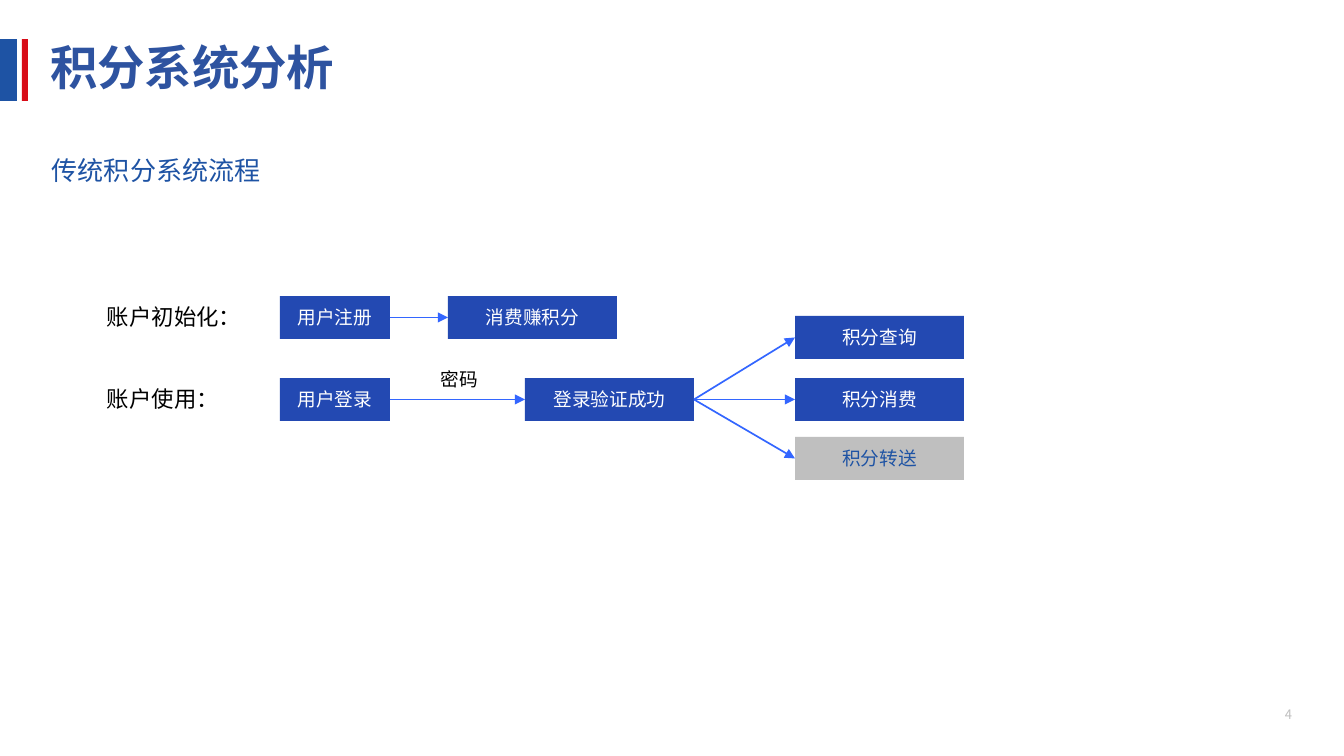
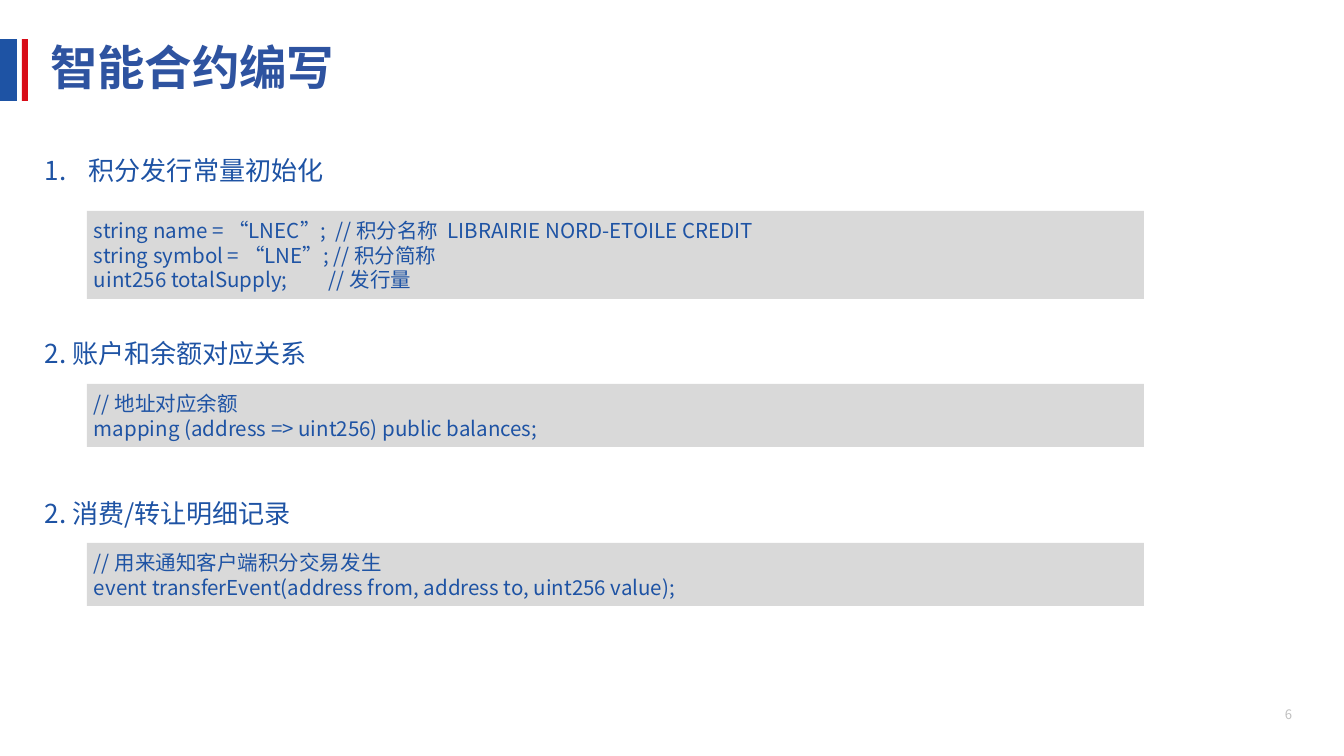
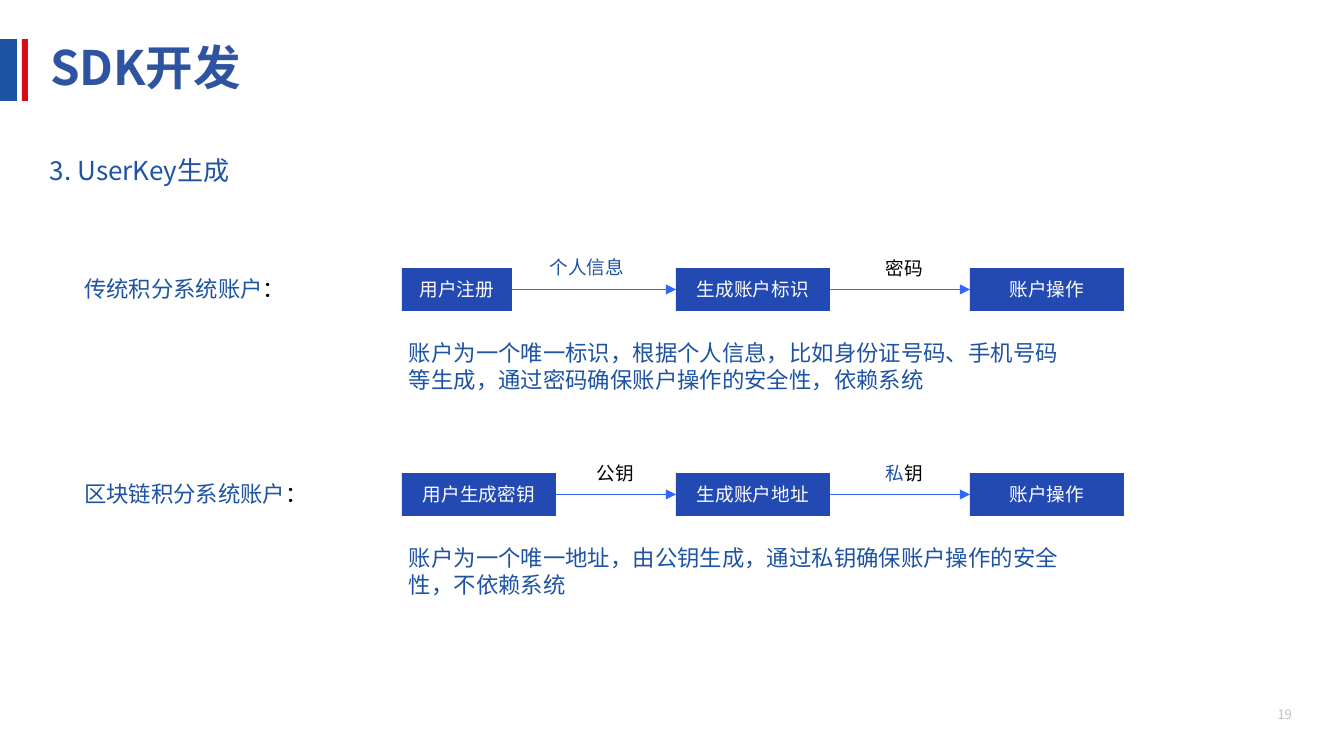
import pptx
import pptx.dml.color
import pptx.enum.shapes
import pptx.enum.text
import pptx.oxml.ns
import pptx.util
from lxml import etree

RGB = pptx.dml.color.RGBColor
ALIGN = pptx.enum.text.PP_ALIGN
ANCHOR = pptx.enum.text.MSO_ANCHOR
RECT = pptx.enum.shapes.MSO_SHAPE.RECTANGLE
STRAIGHT = pptx.enum.shapes.MSO_CONNECTOR.STRAIGHT
qn = pptx.oxml.ns.qn

FONT = "Noto Sans CJK SC"
BLUE = RGB(0x1E, 0x53, 0xA4)
TITLE_BLUE = RGB(0x2E, 0x53, 0xA0)
BOX_BLUE = RGB(0x23, 0x49, 0xB2)
ARROW_BLUE = RGB(0x33, 0x66, 0xFF)
RED = RGB(0xD8, 0x0C, 0x18)
GREY = RGB(0xBF, 0xBF, 0xBF)
CODE_GREY = RGB(0xD9, 0xD9, 0xD9)
BLACK = RGB(0, 0, 0)
WHITE = RGB(0xFF, 0xFF, 0xFF)

PX = 914400 / 122
BOX_H = 43
RIGHT, LEFT = 3, 1

# Text, left, top, width
FLOW_ROWS = [("账户初始化：", 296), ("账户使用：", 378)]
FLOW_BOXES = {
    "register": ("用户注册", 280, 296, 110),
    "earn": ("消费赚积分", 448, 296, 169),
    "login": ("用户登录", 280, 378, 110),
    "verified": ("登录验证成功", 525, 378, 169),
    "query": ("积分查询", 795, 316, 169),
    "spend": ("积分消费", 795, 378, 169),
    "transfer": ("积分转送", 795, 437, 169),
}
FLOW_ARROWS = [("register", "earn"), ("login", "verified"), ("verified", "spend"),
               ("verified", "query"), ("verified", "transfer")]

# Heading, its top, text indent, code top, code height, code
CONTRACT = [
    ("1.\t积分发行常量初始化", 132, 44, 211, 88,
     "string name = “LNEC”;  // 积分名称  LIBRAIRIE NORD-ETOILE CREDIT\n"
     "string symbol = “LNE”; // 积分简称\n"
     "uint256 totalSupply;\t// 发行量"),
    ("2. 账户和余额对应关系", 315, 0, 384, 63,
     "// 地址对应余额\nmapping (address => uint256) public balances;"),
    ("2. 消费/转让明细记录", 475, 0, 543, 63,
     "// 用来通知客户端积分交易发生\n"
     "event transferEvent(address from, address to, uint256 value);"),
]
COMMENT_TAB = 235

# Boxes: text, left, width. Labels: text, colour, left, width, rise above row
ACCOUNTS = [
    dict(name="传统积分系统账户", top=268,
         boxes=[("用户注册", 402, 110), ("生成账户标识", 676, 154), ("账户操作", 970, 154)],
         labels=[("个人信息", BLUE, 534, 106, 19), ("密码", BLACK, 865, 79, 18)],
         note="账户为一个唯一标识，根据个人信息，比如身份证号码、手机号码等生成，"
              "通过密码确保账户操作的安全性，依赖系统"),
    dict(name="区块链积分系统账户", top=473,
         boxes=[("用户生成密钥", 402, 154), ("生成账户地址", 676, 154), ("账户操作", 970, 154)],
         labels=[("公钥", BLACK, 576, 79, 18),
                 ([("私", BLUE), ("钥", BLACK)], BLACK, 865, 79, 18)],
         note="账户为一个唯一地址，由公钥生成，通过私钥确保账户操作的安全性，不依赖系统"),
]


def px(*values):
    return [pptx.util.Emu(round(v * PX)) for v in values]


def write(sp, text, size=11, color=BLUE, bold=False, align=ALIGN.LEFT, anchor=ANCHOR.TOP,
          spacing=None, inset=(7, 7), hang=0, tab=0):
    """Fill a shape with text: a string of lines, or one line as (text, colour) runs."""
    tf = sp.text_frame
    tf.word_wrap = True
    tf.auto_size = pptx.enum.text.MSO_AUTO_SIZE.NONE
    tf.vertical_anchor = anchor
    tf.margin_left, tf.margin_top = tf.margin_right, tf.margin_bottom = px(*inset)
    if isinstance(text, str):
        lines = [[(line, color)] for line in text.split("\n")]
    else:
        lines = [text]
    for i, runs in enumerate(lines):
        p = tf.add_paragraph() if i else tf.paragraphs[0]
        p.alignment = align
        if spacing:
            p.line_spacing = spacing
        pPr = p._p.get_or_add_pPr()
        if hang:
            pPr.set("marL", str(px(hang)[0]))
            pPr.set("indent", str(px(-hang)[0]))
        if tab:
            tabs = etree.SubElement(pPr, qn("a:tabLst"))
            etree.SubElement(tabs, qn("a:tab"), pos=str(px(tab)[0]), algn="l")
        for part, part_color in runs:
            r = p.add_run()
            r.text = part
            r.font.size = pptx.util.Pt(size)
            r.font.bold = bold
            r.font.name = FONT
            r.font.color.rgb = part_color
            etree.SubElement(r._r.get_or_add_rPr(), qn("a:ea"), typeface=FONT)


def add_text(s, text, x, y, w, h, **fmt):
    write(s.shapes.add_textbox(*px(x, y, w, h)), text, **fmt)


def add_rect(s, x, y, w, h, fill):
    sp = s.shapes.add_shape(RECT, *px(x, y, w, h))
    sp.shadow.inherit = False
    sp.fill.solid()
    sp.fill.fore_color.rgb = fill
    sp.line.fill.background()
    return sp


def add_box(s, text, x, y, w, fill=BOX_BLUE, color=WHITE):
    sp = add_rect(s, x, y, w, BOX_H, fill)
    write(sp, text, color=color, align=ALIGN.CENTER, anchor=ANCHOR.MIDDLE, inset=(12, 6))
    return sp


def add_arrow(s, start, end):
    c = s.shapes.add_connector(STRAIGHT, 0, 0, 0, 0)
    c.begin_connect(start, RIGHT)
    c.end_connect(end, LEFT)
    c.line.color.rgb = ARROW_BLUE
    c.line.width = pptx.util.Pt(1)
    etree.SubElement(c.line._get_or_add_ln(), qn("a:tailEnd"), type="triangle")
    etree.SubElement(c._element.spPr, qn("a:effectLst"))


def add_heading(s, text, x, y=132, hang=0):
    add_text(s, text, x, y, 1235, 61, size=15.4, spacing=1.5, hang=hang)


def add_slide(prs, title, number):
    s = prs.slides.add_slide(prs.slide_layouts[5])
    add_rect(s, 0, 39, 17, 62, BLUE)
    add_rect(s, 22, 39, 6, 62, RED)
    sp = s.shapes.title
    sp.left, sp.top, sp.width, sp.height = px(50, 44, 1244, 51)
    write(sp, title, size=28, color=TITLE_BLUE, bold=True, spacing=0.9, inset=(0, 0))
    add_text(s, number, 1064, 700, 240, 34, size=7.7, color=GREY, align=ALIGN.RIGHT,
             inset=(12, 6))
    return s


def build_flow(prs):
    s = add_slide(prs, "积分系统分析", "4")
    add_heading(s, "传统积分系统流程", 45)
    for name, y in FLOW_ROWS:
        add_text(s, name, 100, y, 202, 40, size=13.2, color=BLACK)
    boxes = {}
    for key, spec_row in FLOW_BOXES.items():
        colors = dict(fill=GREY, color=BLUE) if key == "transfer" else {}
        boxes[key] = add_box(s, *spec_row, **colors)
    for start, end in FLOW_ARROWS:
        add_arrow(s, boxes[start], boxes[end])
    add_text(s, "密码", 386, 361, 147, 37, color=BLACK, align=ALIGN.CENTER)


def build_contract(prs):
    s = add_slide(prs, "智能合约编写", "6")
    for heading, y, hang, code_y, code_h, code in CONTRACT:
        add_heading(s, heading, 38, y, hang)
        sp = add_rect(s, 87, code_y, 1057, code_h, CODE_GREY)
        write(sp, code, size=12.1, tab=COMMENT_TAB)


def build_accounts(prs):
    s = add_slide(prs, "SDK开发", "19")
    add_heading(s, "3. UserKey生成", 43)
    for row in ACCOUNTS:
        y = row["top"]
        add_text(s, [(row["name"], BLUE), ("：", BLACK)], 77, y, 248, 40, size=13.2)
        boxes = [add_box(s, text, x, y, w) for text, x, w in row["boxes"]]
        for start, end in zip(boxes, boxes[1:]):
            add_arrow(s, start, end)
        for text, color, x, w, rise in row["labels"]:
            add_text(s, text, x, y - rise, w, 37, color=color, align=ALIGN.CENTER)
        add_text(s, row["note"], 402, y + 64, 671, 68, size=13.2)


def main():
    prs = pptx.Presentation()
    prs.slide_width, prs.slide_height = px(1344, 756)
    build_flow(prs)
    build_contract(prs)
    build_accounts(prs)
    prs.save("out.pptx")


if __name__ == "__main__":
    main()
